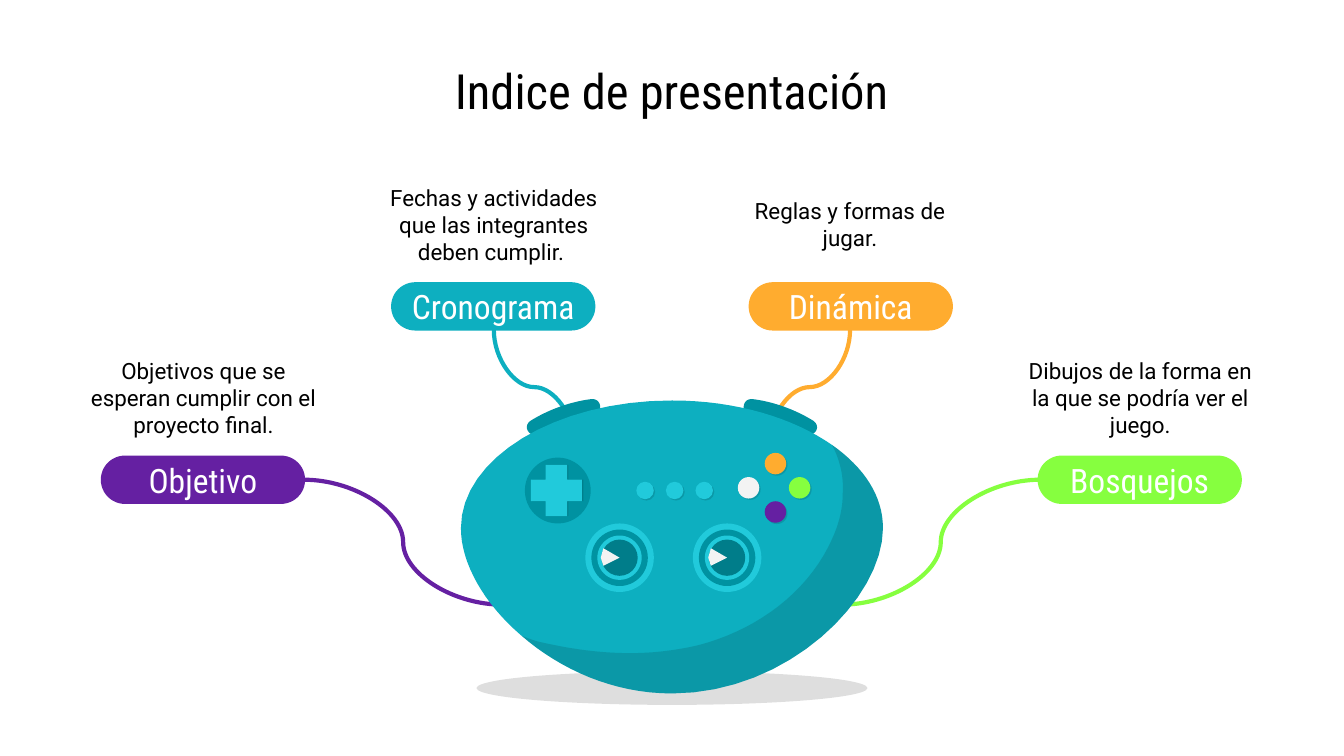
"""Build an index slide with four labels wired to a game controller."""
from lxml.etree import SubElement
from pptx import Presentation
from pptx.dml.color import RGBColor
from pptx.enum.shapes import MSO_CONNECTOR, MSO_SHAPE
from pptx.enum.text import MSO_ANCHOR, MSO_AUTO_SIZE, PP_ALIGN
from pptx.oxml.ns import qn
from pptx.util import Inches, Pt

COLORS = {
    "black": "000000", "white": "FFFFFF", "pale": "F3F3F3",
    "purple": "6520A2", "green": "86FF3F", "teal": "0DAFC0",
    "orange": "FFAC2F", "dark": "0092A1", "deep": "007D8A", "light": "21CADB",
}

TOPICS = [
    ("Objetivo", "Objetivos que se esperan cumplir con el proyecto final.",
     "purple", 0.75, 3.39, 0.5, (3.74, 4.5), (2.26, 3.57), 0),
    ("Bosquejos", "Dibujos de la forma en la que se podría ver el juego.",
     "green", 7.72, 3.39, 7.47, (6.26, 4.5), (7.74, 3.57), 0),
    ("Cronograma", "Fechas y actividades que las integrantes deben cumplir. ",
     "teal", 2.91, 2.1, 2.66, (4.4, 2.58), (3.55, 3.18), 90),
    ("Dinámica", "Reglas y formas de jugar.",
     "orange", 5.57, 2.1, 5.31, (5.6, 2.58), (6.45, 3.18), 270),
]

GRIP = [(4.41, 2.97),
        [(4.4, 2.97), (4.4, 2.97), (4.4, 2.97)],
        [(4.24, 2.99), (4.08, 3.05), (3.95, 3.13)],
        [(3.89, 3.17), (3.93, 3.24), (3.99, 3.24)],
        [(4, 3.24), (4.01, 3.24), (4.02, 3.23)],
        [(4.14, 3.16), (4.27, 3.11), (4.41, 3.09)],
        [(4.49, 3.08), (4.48, 2.97), (4.41, 2.97)]]
BASE = [[(4.17, 4.98), (4.56, 5.16), (5, 5.16)],
        [(5.87, 5.16), (6.57, 4.45), (6.57, 3.93)],
        [(6.57, 3.69), (6.43, 3.48), (6.19, 3.31)]]
BODY = [(5, 2.98),
        [(4.13, 2.98), (3.43, 3.41), (3.43, 3.93)],
        [(3.43, 4.19), (3.6, 4.49), (3.88, 4.73)],
        *BASE,
        [(5.9, 3.11), (5.48, 2.98), (5, 2.98)]]
SHADE = [(6.19, 3.31),
         [(6.25, 3.42), (6.28, 3.55), (6.27, 3.68)],
         [(6.27, 3.84), (6.21, 3.99), (6.13, 4.13)],
         [(5.93, 4.47), (5.58, 4.7), (5.2, 4.8)],
         [(5.03, 4.84), (4.86, 4.86), (4.69, 4.86)],
         [(4.47, 4.86), (4.25, 4.83), (4.03, 4.78)],
         [(3.98, 4.77), (3.93, 4.75), (3.88, 4.73)],
         *BASE]


def color(name):
    return RGBColor.from_string(COLORS[name])


def write(frame, text, font="Roboto", size=12, ink="black", after=0):
    frame.word_wrap = True
    frame.auto_size = MSO_AUTO_SIZE.NONE
    frame.vertical_anchor = MSO_ANCHOR.MIDDLE
    frame.margin_left = frame.margin_right = Inches(0.1)
    frame.margin_top = frame.margin_bottom = Inches(0.1)
    line = frame.paragraphs[0]
    line.alignment = PP_ALIGN.CENTER
    line.space_before, line.space_after = Pt(0), Pt(after)
    run = line.add_run()
    run.text = text
    run.font.name, run.font.size = font, Pt(size)
    run.font.color.rgb = color(ink)


def trace(start, curves, steps=16):
    points = [start]
    for b, c, d in curves:
        a = points[-1]
        for step in range(1, steps + 1):
            t = step / steps
            s = 1 - t
            points.append(tuple(
                s**3 * a[i] + 3 * s * s * t * b[i] + 3 * s * t * t * c[i] + t**3 * d[i]
                for i in (0, 1)))
    return points


class Board:
    def __init__(self, deck):
        self.slide = deck.slides.add_slide(deck.slide_layouts[5])
        self.shapes = self.slide.shapes
        self.head = "Roboto Condensed"

    def paint(self, shape, fill, alpha=None):
        shape.shadow.inherit = False
        shape.fill.solid()
        shape.fill.fore_color.rgb = color(fill)
        shape.line.fill.background()
        if alpha:
            tone = shape.fill._xPr.find(qn("a:solidFill"))[0]
            SubElement(tone, qn("a:alpha")).set("val", str(alpha * 1000))
        return shape

    def title(self, text, *box):
        shape = self.shapes.title
        shape.left, shape.top, shape.width, shape.height = map(Inches, box)
        write(shape.text_frame, text, font=self.head, size=26)

    def note(self, text, *box):
        write(self.shapes.add_textbox(*map(Inches, box)).text_frame, text)

    def block(self, kind, fill, *box, alpha=None):
        return self.paint(self.shapes.add_shape(kind, *map(Inches, box)), fill, alpha)

    def pill(self, text, fill, *box):
        shape = self.block(MSO_SHAPE.ROUNDED_RECTANGLE, fill, *box)
        shape.adjustments[0] = 0.5
        write(shape.text_frame, text, font=self.head, size=18, ink="white", after=2)

    def disc(self, fill, x, y, wide, high=None, alpha=None):
        high = high or wide
        self.block(MSO_SHAPE.OVAL, fill, x - wide / 2, y - high / 2, wide, high, alpha=alpha)

    def cross(self, fill, x, y, size, alpha=None):
        shape = self.block(MSO_SHAPE.CROSS, fill, x, y, size, size, alpha=alpha)
        shape.adjustments[0] = 0.29

    def form(self, fill, points, alpha=None):
        spots = [(Inches(x), Inches(y)) for x, y in points]
        path = self.shapes.build_freeform(*spots[0])
        path.add_line_segments(spots[1:], close=True)
        self.paint(path.convert_to_shape(), fill, alpha)

    def wire(self, ink, start, end, turn):
        line = self.shapes.add_connector(MSO_CONNECTOR.CURVE, *map(Inches, start + end))
        line.line.color.rgb = color(ink)
        line.line.width = Pt(2.25)
        props = line._element.spPr
        SubElement(props, qn("a:effectLst"))
        if turn:
            props.find(qn("a:xfrm")).set("rot", str(turn * 60000))

    def stick(self, x, y):
        for fill, size in (("light", 0.51), ("dark", 0.42), ("light", 0.33), ("deep", 0.27)):
            self.disc(fill, x, y, size)
        wedge = [(0, 0), (-0.12, -0.07), (-0.14, 0), (-0.12, 0.06)]
        self.form("pale", [(x + dx, y + dy) for dx, dy in wedge])

    def button(self, fill, x, y, size):
        self.disc("black", x + 0.01, y + 0.01, size, alpha=13)
        self.disc(fill, x, y, size)


def main():
    deck = Presentation()
    deck.slide_width = Inches(10)
    deck.slide_height = deck.slide_width * 9 // 16
    board = Board(deck)
    board.title("Indice de presentación", 0.5, 0.45, 9, 0.44)
    for name, text, hue, left, top, side, start, end, turn in TOPICS:
        board.wire(hue, start, end, turn)
        board.note(text, side, top - 0.86, 2.03, 0.86)
        board.pill(name, hue, left, top, 1.52, 0.36)

    board.disc("black", 5, 5.12, 2.91, 0.25, alpha=13)
    grip = trace(GRIP[0], GRIP[1:])
    board.form("dark", grip)
    board.form("dark", [(10 - x, y) for x, y in grip])
    board.form("teal", trace(BODY[0], BODY[1:]))
    board.form("black", trace(SHADE[0], SHADE[1:]), alpha=13)
    for x in (4.61, 5.41):
        board.stick(x, 4.15)
    board.disc("dark", 4.15, 3.65, 0.49)
    board.cross("black", 3.96, 3.46, 0.38, alpha=13)
    board.cross("light", 3.95, 3.46, 0.38)
    for hue, x, y in (("pale", 5.57, 3.63), ("green", 5.95, 3.63),
                      ("orange", 5.77, 3.45), ("purple", 5.77, 3.81)):
        board.button(hue, x, y, 0.16)
    for i in range(3):
        board.button("light", 4.8 + 0.22 * i, 3.65, 0.13)
    deck.save("out.pptx")


if __name__ == "__main__":
    main()
